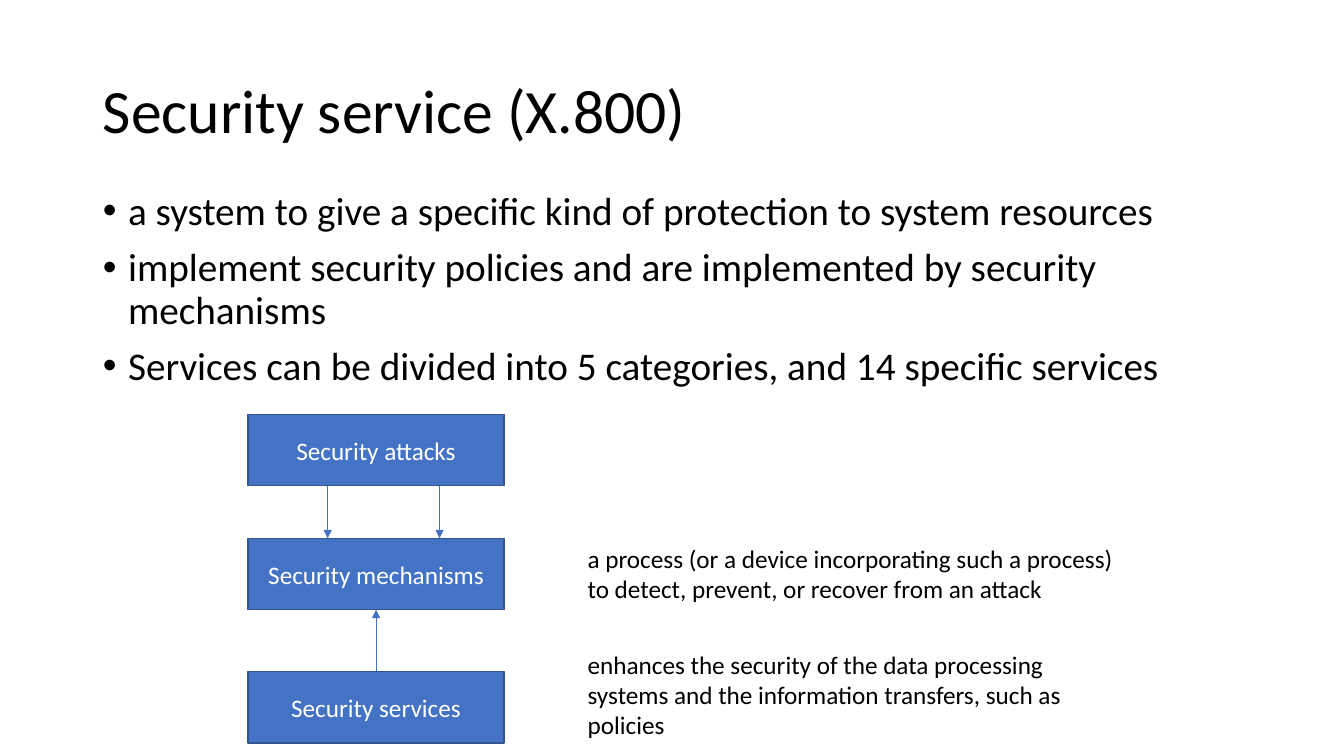
from lxml import etree
from pptx import Presentation
from pptx import util as u
from pptx.dml.color import RGBColor
from pptx.enum import shapes, text
from pptx.oxml.ns import qn

PX = 9144
BLACK = RGBColor(0x00, 0x00, 0x00)
WHITE = RGBColor(0xFF, 0xFF, 0xFF)
BLUE = RGBColor(0x44, 0x72, 0xC4)
DARK_BLUE = RGBColor(0x32, 0x54, 0x91)


def px(*lengths):
    return [u.Emu(length * PX) for length in lengths]


def set_font(paragraph, size, color):
    paragraph.font.name = "Calibri"
    paragraph.font.size = u.Pt(size)
    paragraph.font.color.rgb = color


deck = Presentation()
deck.slide_width, deck.slide_height = px(1333, 750)
slide = deck.slides.add_slide(deck.slide_layouts[1])

title, points = slide.placeholders
title.left, title.top, title.width, title.height = px(92, 40, 1150, 145)
title.text_frame.text = "Security service (X.800)"
title.text_frame.vertical_anchor = text.MSO_ANCHOR.MIDDLE
heading = title.text_frame.paragraphs[0]
heading.alignment = text.PP_ALIGN.LEFT
heading.line_spacing = 0.9
set_font(heading, 44, BLACK)

points.left, points.top, points.width, points.height = px(92, 185, 1150, 476)
points.text_frame.text = "\n".join([
    "a system to give a specific kind of protection to system resources",
    "implement security policies and are implemented by security mechanisms",
    "Services can be divided into 5 categories, and 14 specific services",
])
points.text_frame.auto_size = text.MSO_AUTO_SIZE.NONE
for point in points.text_frame.paragraphs:
    point.line_spacing = 0.9
    point.space_before = u.Pt(10)
    set_font(point, 28, BLACK)
    properties = point._p.get_or_add_pPr()
    properties.set("marL", str(25 * PX))
    properties.set("indent", str(-25 * PX))

for label, top in [
    ("Security attacks", 411),
    ("Security mechanisms", 534),
    ("Security services", 666),
]:
    stage = slide.shapes.add_shape(
        shapes.MSO_SHAPE.RECTANGLE, *px(246, top, 254, 71))
    stage.shadow.inherit = False
    stage.fill.solid()
    stage.fill.fore_color.rgb = BLUE
    stage.line.color.rgb = DARK_BLUE
    stage.line.width = u.Pt(1)
    stage.text_frame.text = label
    stage.text_frame.vertical_anchor = text.MSO_ANCHOR.MIDDLE
    caption = stage.text_frame.paragraphs[0]
    caption.alignment = text.PP_ALIGN.CENTER
    set_font(caption, 18, WHITE)

for x, start, end in [(373, 666, 605), (325, 482, 534), (436, 482, 534)]:
    arrow = slide.shapes.add_connector(
        shapes.MSO_CONNECTOR.STRAIGHT, *px(x, start, x, end))
    arrow.line.color.rgb = BLUE
    arrow.line.width = u.Pt(0.5)
    etree.SubElement(arrow.line._get_or_add_ln(), qn("a:tailEnd"), type="triangle")
    etree.SubElement(arrow._element.spPr, qn("a:effectLst"))

for definition, top, height in [
    ("a process (or a device incorporating such a process) "
     "to detect, prevent, or recover from an attack", 534, 71),
    ("enhances the security of the data processing systems "
     "and the information transfers, such as policies", 639, 101),
]:
    note = slide.shapes.add_textbox(*px(573, top, 547, height)).text_frame
    note.word_wrap = True
    note.auto_size = text.MSO_AUTO_SIZE.SHAPE_TO_FIT_TEXT
    note.text = definition
    set_font(note.paragraphs[0], 18, BLACK)

deck.save("out.pptx")
